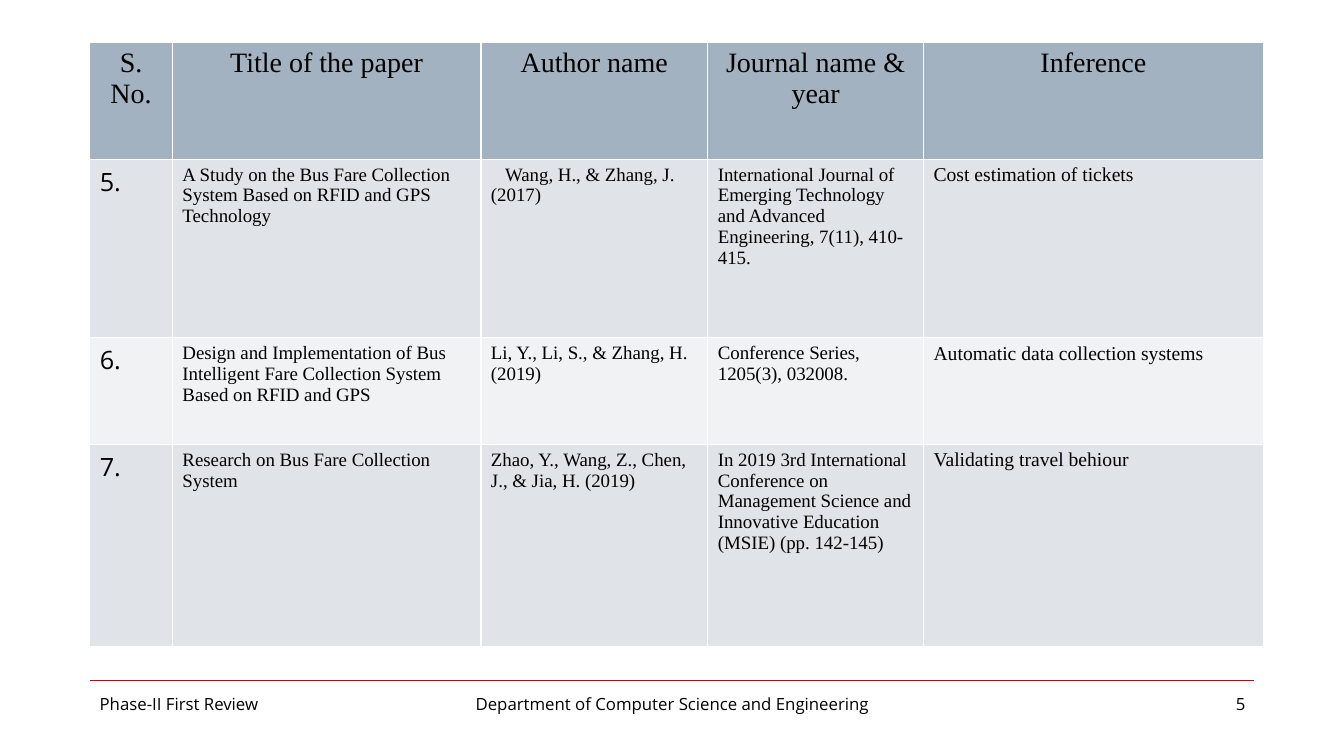
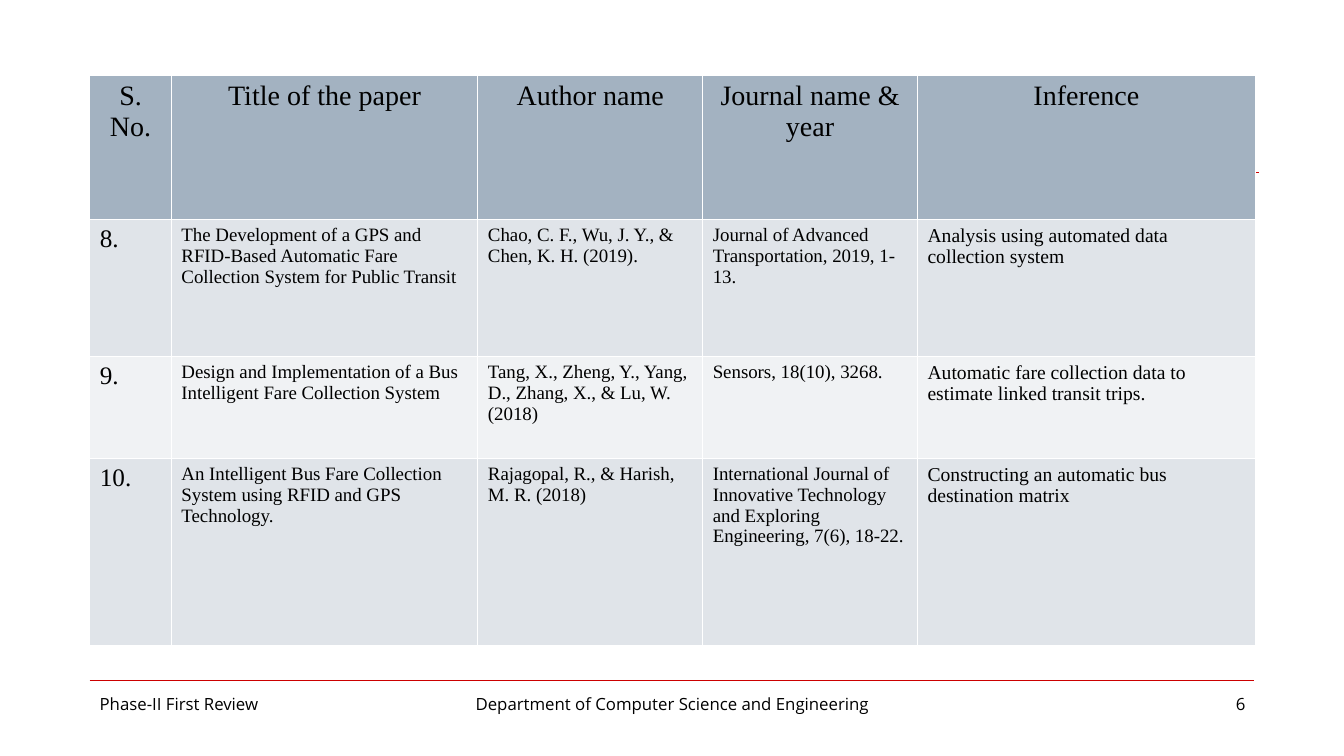
from lxml.etree import SubElement
from pptx import Presentation
from pptx.dml.color import RGBColor
from pptx.enum.shapes import MSO_CONNECTOR
from pptx.enum.text import PP_ALIGN
from pptx.oxml.ns import qn
from pptx.util import Emu, Pt

PX = 9144  # 100 px to the inch
COLORS = {
    "text": "000000",
    "rule": "CC0000",
    "header": "A3B2C1",
    "odd_row": "E0E4E9",
    "even_row": "F0F2F4",
    "border": "FFFFFF",
}
SERIF, SANS = "Times New Roman", "Open Sans"
LEFT = 89
HEADINGS = ["S. No.", "Title of the paper", "Author name",
            "Journal name & year", "Inference"]
BODY_SIZES = [18, 13.5, 13.5, 13.5, 14]
INDENTED_AUTHOR = "Wang, H., & Zhang, J. (2017)"

# One entry per slide
PAGES = [
    {
        "number": 5, "top": 42, "number_font": SANS, "upper_rule": False,
        "columns": [82, 306, 225, 214, 337],
        "heights": [116, 177, 106, 201],
        "papers": [
            ["5.", "A Study on the Bus Fare Collection System Based on RFID and GPS Technology",
             INDENTED_AUTHOR,
             "International Journal of Emerging Technology and Advanced Engineering, 7(11), 410-415.",
             "Cost estimation of tickets"],
            ["6.", "Design and Implementation of Bus Intelligent Fare Collection System Based on RFID and GPS",
             "Li, Y., Li, S., & Zhang, H. (2019)",
             "Conference Series, 1205(3), 032008.",
             "Automatic data collection systems"],
            ["7.", "Research on Bus Fare Collection System",
             "Zhao, Y., Wang, Z., Chen, J., & Jia, H. (2019)",
             "In 2019 3rd International Conference on Management Science and "
             "Innovative Education (MSIE) (pp. 142-145)",
             "Validating travel behiour"],
        ],
    },
    {
        "number": 6, "top": 75, "number_font": SERIF, "upper_rule": True,
        "columns": [81, 304, 223, 213, 335],
        "heights": [143, 136, 101, 186],
        "papers": [
            ["8.", "The Development of a GPS and RFID-Based Automatic Fare Collection System for Public Transit",
             "Chao, C. F., Wu, J. Y., & Chen, K. H. (2019).",
             "Journal of Advanced Transportation, 2019, 1-13.",
             "Analysis using automated data collection system"],
            ["9.", "Design and Implementation of a Bus Intelligent Fare Collection System",
             "Tang, X., Zheng, Y., Yang, D., Zhang, X., & Lu, W. (2018)",
             "Sensors, 18(10), 3268.",
             "Automatic fare collection data to estimate linked transit trips."],
            ["10.", "An Intelligent Bus Fare Collection System using RFID and GPS Technology.",
             "Rajagopal, R., & Harish, M. R. (2018)",
             "International Journal of Innovative Technology and Exploring Engineering, 7(6), 18-22.",
             "Constructing an automatic bus destination matrix"],
        ],
    },
]


def px(value):
    return Emu(value * PX)


def color(name):
    return RGBColor.from_string(COLORS[name])


def write(text_frame, text, size, font, align=PP_ALIGN.LEFT):
    text_frame.text = text
    paragraph = text_frame.paragraphs[0]
    paragraph.alignment = align
    run_font = paragraph.runs[0].font
    run_font.size = Pt(size)
    run_font.name = font
    run_font.bold = False
    run_font.color.rgb = color("text")
    return paragraph


def add_rule(slide, right, y, weight):
    rule = slide.shapes.add_connector(
        MSO_CONNECTOR.STRAIGHT, px(LEFT), px(y), px(right), px(y))
    rule.line.color.rgb = color("rule")
    rule.line.width = Pt(weight)
    SubElement(rule._element.spPr, qn("a:effectLst"))


def add_footer(slide, number):
    add_rule(slide, 1244, 675, 0.25)
    for left, width, text, align in [
        (LEFT, 289, "Phase-II First Review", PP_ALIGN.LEFT),
        (456, 422, "Department of Computer Science and Engineering", PP_ALIGN.CENTER),
        (956, 289, str(number), PP_ALIGN.RIGHT),
    ]:
        box = slide.shapes.add_textbox(px(left), px(683), px(width), px(52))
        box.text_frame.word_wrap = True
        write(box.text_frame, text, 12, SANS, align)


def style_cell(cell, fill):
    # Borders come before the fill in the cell properties
    properties = cell._tc.get_or_add_tcPr()
    for side in ("lnL", "lnR", "lnT", "lnB"):
        border = SubElement(properties, qn(f"a:{side}"), w=str(Pt(1)))
        solid = SubElement(border, qn("a:solidFill"))
        SubElement(solid, qn("a:srgbClr"), val=COLORS["border"])
    cell.fill.solid()
    cell.fill.fore_color.rgb = color(fill)


def add_paper_table(slide, page):
    columns, heights = page["columns"], page["heights"]
    table = slide.shapes.add_table(
        len(heights), len(columns), px(LEFT), px(page["top"]),
        px(sum(columns)), px(sum(heights))).table
    for column, width in zip(table.columns, columns):
        column.width = px(width)
    for row, height in zip(table.rows, heights):
        row.height = px(height)

    # Header row
    for cell, heading in zip(table.rows[0].cells, HEADINGS):
        style_cell(cell, "header")
        write(cell.text_frame, heading, 20, SERIF, PP_ALIGN.CENTER)

    # One row per paper
    fonts = [page["number_font"]] + [SERIF] * 4
    for index, paper in enumerate(page["papers"], start=1):
        fill = "odd_row" if index % 2 else "even_row"
        for cell, text, size, font in zip(table.rows[index].cells, paper, BODY_SIZES, fonts):
            style_cell(cell, fill)
            paragraph = write(cell.text_frame, text, size, font)
            if text == INDENTED_AUTHOR:
                paragraph._p.get_or_add_pPr().set("indent", str(px(14)))


def main():
    presentation = Presentation()
    presentation.slide_width, presentation.slide_height = px(1333), px(750)
    for page in PAGES:
        slide = presentation.slides.add_slide(presentation.slide_layouts[6])
        if page["upper_rule"]:
            add_rule(slide, 1249, 171, 0.75)
        add_footer(slide, page["number"])
        add_paper_table(slide, page)
    presentation.save("out.pptx")


if __name__ == "__main__":
    main()
